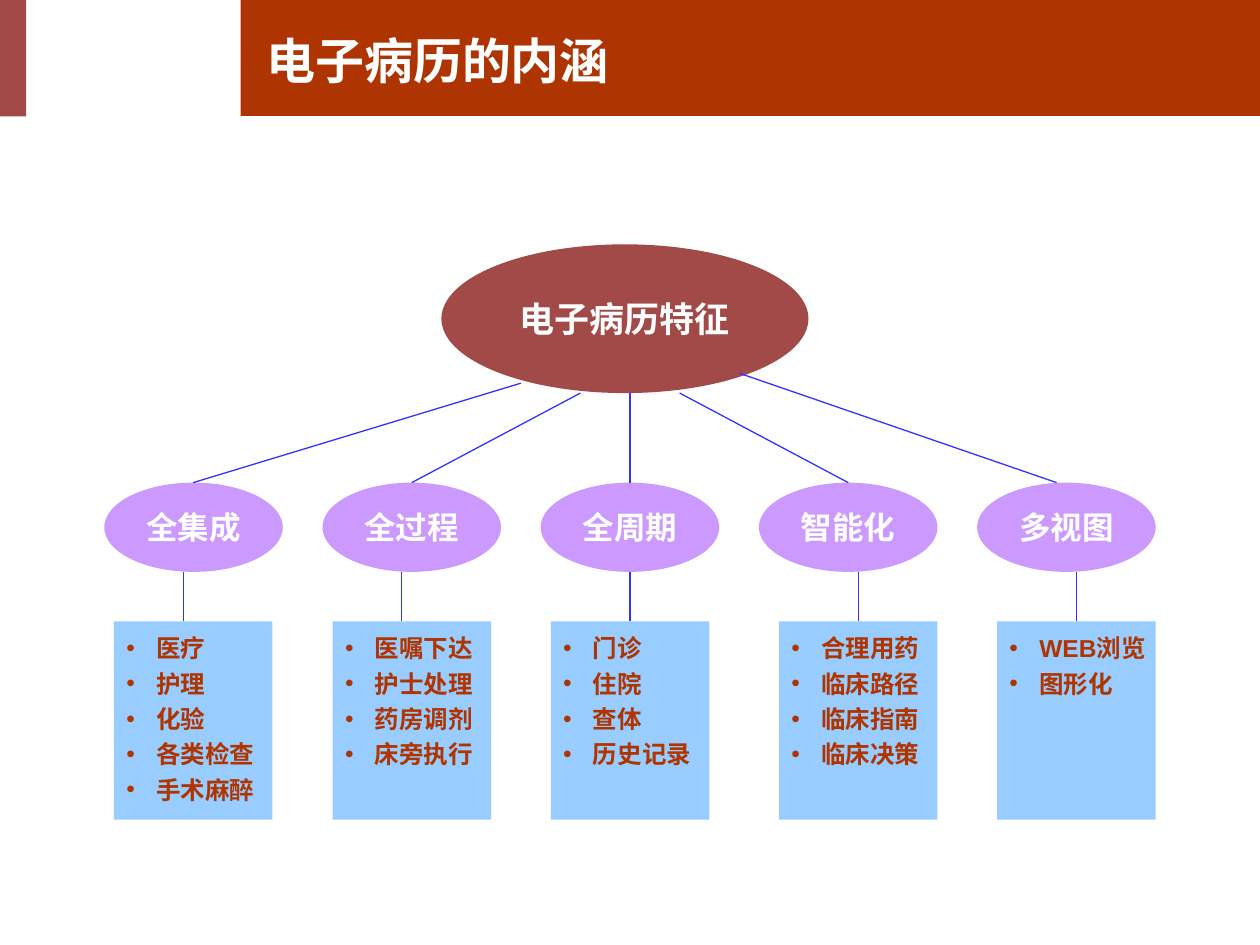
from dataclasses import dataclass

from lxml.etree import SubElement
from pptx import Presentation
from pptx.dml.color import RGBColor as Rgb
from pptx.enum.shapes import MSO_CONNECTOR as Connector, MSO_SHAPE as Shape
from pptx.enum.text import MSO_ANCHOR as Anchor, PP_ALIGN as Align
from pptx.oxml.ns import qn
from pptx.util import Pt


@dataclass(frozen=True)
class Theme:
    font: str = "Arial"
    rust: str = "AE3502"
    brick: str = "A24A48"
    lilac: str = "CC99FF"
    sky: str = "99CCFF"
    line: str = "3333FF"
    white: str = "FFFFFF"
    title_size: float = 28
    root_size: float = 20
    branch_size: float = 18
    list_size: float = 14
    line_width: float = 0.75
    bullet_indent: float = 17


class SlideBuilder:
    def __init__(self, slide, theme):
        self.slide = slide
        self.theme = theme

    def style_font(self, para, size, color):
        formats = {"name": self.theme.font, "size": Pt(size), "bold": True}
        for name, value in formats.items():
            setattr(para.font, name, value)
        para.font.color.rgb = Rgb.from_string(color)

    def set_frame(self, frame, anchor, wrap):
        formats = {
            "margin_left": Pt(7.2), "margin_right": Pt(7.2),
            "margin_top": Pt(3.6), "margin_bottom": Pt(3.6),
            "vertical_anchor": anchor, "word_wrap": wrap,
        }
        for name, value in formats.items():
            setattr(frame, name, value)

    def block(self, kind, bounds, fill):
        shape = self.slide.shapes.add_shape(kind, *map(Pt, bounds))
        shape.shadow.inherit = False
        shape.fill.solid()
        shape.fill.fore_color.rgb = Rgb.from_string(fill)
        shape.line.fill.background()
        return shape

    def title(self, text, bounds):
        """Fill the title placeholder and lift it above the shapes drawn so far."""
        title = self.slide.shapes.title
        for name, value in zip(("left", "top", "width", "height"), bounds):
            setattr(title, name, Pt(value))
        self.set_frame(title.text_frame, Anchor.MIDDLE, True)
        para = title.text_frame.paragraphs[0]
        para.text = text
        para.alignment = Align.LEFT
        self.style_font(para, self.theme.title_size, self.theme.white)
        title.element.getparent().append(title.element)

    def ellipse(self, text, bounds, fill, size):
        shape = self.block(Shape.OVAL, bounds, fill)
        self.set_frame(shape.text_frame, Anchor.MIDDLE, False)
        para = shape.text_frame.paragraphs[0]
        para.text = text
        para.alignment = Align.CENTER
        self.style_font(para, size, self.theme.white)

    def bullet(self, para):
        properties = para._p.get_or_add_pPr()
        indent = Pt(self.theme.bullet_indent)
        properties.set("marL", str(indent))
        properties.set("indent", str(-indent))
        color = SubElement(properties, qn("a:buClr"))
        SubElement(color, qn("a:srgbClr"), val=self.theme.rust)
        SubElement(properties, qn("a:buFont"), typeface=self.theme.font)
        SubElement(properties, qn("a:buChar"), char="•")

    def list_box(self, items, bounds):
        box = self.block(Shape.RECTANGLE, bounds, self.theme.sky)
        frame = box.text_frame
        self.set_frame(frame, Anchor.TOP, False)
        for index, item in enumerate(items):
            para = frame.add_paragraph() if index else frame.paragraphs[0]
            para.text = item
            para.alignment = Align.LEFT
            para.line_spacing = 1.2
            self.bullet(para)
            self.style_font(para, self.theme.list_size, self.theme.rust)

    def line(self, start, end):
        line = self.slide.shapes.add_connector(
            Connector.STRAIGHT, *map(Pt, (*start, *end)))
        line.line.color.rgb = Rgb.from_string(self.theme.line)
        line.line.width = Pt(self.theme.line_width)
        SubElement(line.element.spPr, qn("a:effectLst"))


BRANCHES = {
    "全集成": ["医疗", "护理", "化验", "各类检查", "手术麻醉"],
    "全过程": ["医嘱下达", "护士处理", "药房调剂", "床旁执行"],
    "全周期": ["门诊", "住院", "查体", "历史记录"],
    "智能化": ["合理用药", "临床路径", "临床指南", "临床决策"],
    "多视图": ["WEB浏览", "图形化"],
}
CENTER = 360
BRANCH_LEFT, BRANCH_STEP = 59.6, 124.7
BRANCH_TOP, BRANCH_WIDTH, BRANCH_HEIGHT = 275.8, 102, 51
LIST_TOP, LIST_WIDTH, LIST_HEIGHT = 355.1, 90.6, 113.3
LIST_LEFTS = [65.1, 190.1, 314.8, 445.1, 569.8]
STEM_OFFSETS = [-255.1, -130.4, 0, 130.4, 255.1]
# Start point of each branch line on the root, and its x at the branch
SPOKES = [((297.6, 219), 110.4), ((331.7, 224.6), 235.3), ((CENTER, 224.6), CENTER),
          ((388.4, 224.6), 484.7), ((422.5, 213.3), 603.8)]


def main():
    deck = Presentation()
    deck.slide_width, deck.slide_height = Pt(720), Pt(540)
    theme = Theme()
    page = SlideBuilder(deck.slides.add_slide(deck.slide_layouts[5]), theme)

    page.block(Shape.RECTANGLE, (137.5, 0, 582.5, 66.2), theme.rust)
    page.block(Shape.RECTANGLE, (0, 0, 15, 66.6), theme.brick)
    page.title("电子病历的内涵", (145, 12.2, 557, 44.6))
    page.ellipse("电子病历特征", (252.2, 139.6, 209.8, 85),
                 theme.brick, theme.root_size)

    for index, name in enumerate(BRANCHES):
        left = BRANCH_LEFT + index * BRANCH_STEP
        page.ellipse(name, (left, BRANCH_TOP, BRANCH_WIDTH, BRANCH_HEIGHT),
                     theme.lilac, theme.branch_size)
    for left, items in zip(LIST_LEFTS, BRANCHES.values()):
        page.list_box(items, (left, LIST_TOP, LIST_WIDTH, LIST_HEIGHT))
    for (start, branch_x), offset in zip(SPOKES, STEM_OFFSETS):
        page.line(start, (branch_x, BRANCH_TOP))
        stem_x = CENTER + offset
        page.line((stem_x, BRANCH_TOP + BRANCH_HEIGHT), (stem_x, LIST_TOP))

    deck.save("out.pptx")


if __name__ == "__main__":
    main()
